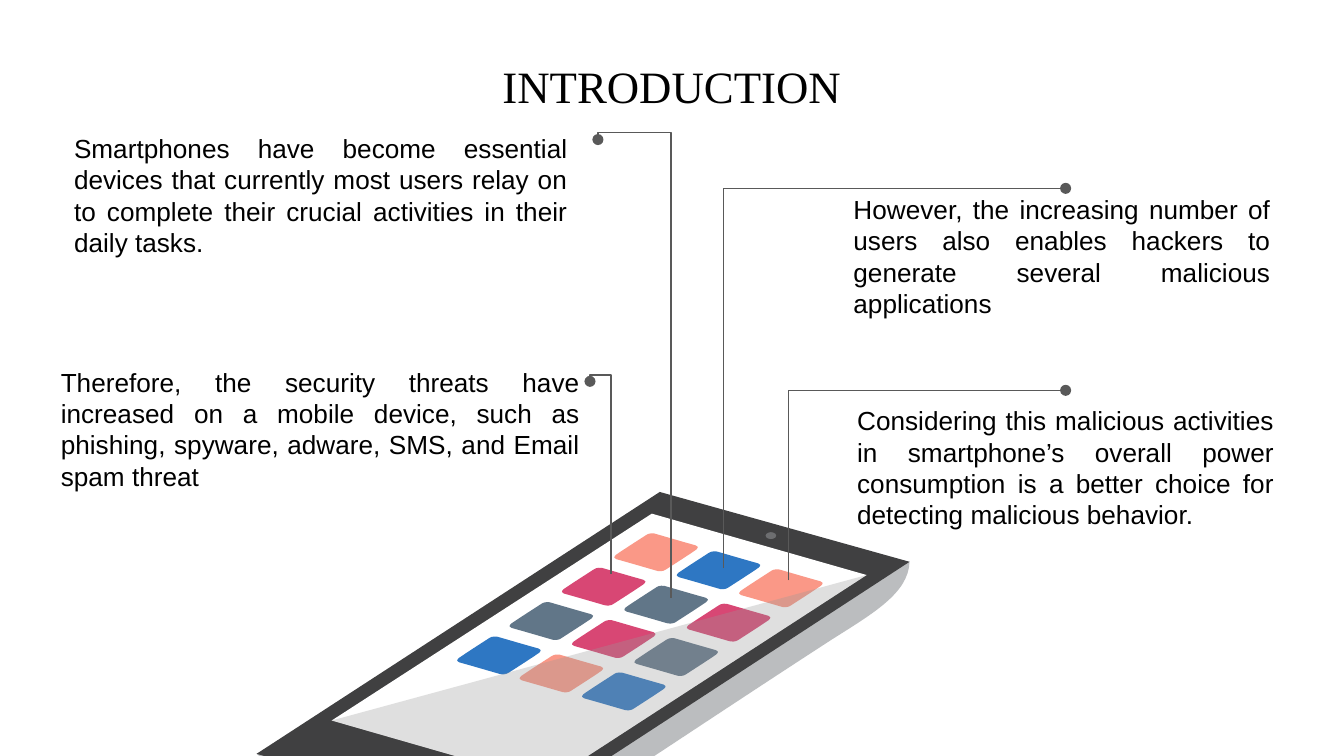
from lxml.etree import SubElement
from pptx import Presentation
from pptx.dml.color import RGBColor
from pptx.enum.shapes import MSO_CONNECTOR as Link, MSO_SHAPE as Preset
from pptx.enum.text import MSO_ANCHOR as Anchor, PP_ALIGN as Align
from pptx.oxml.ns import qn
from pptx.util import Cm, Pt

CORAL, BLUE, PINK, SLATE = "FA9887", "2E77C3", "D84774", "617688"
APP_ROWS = [
    (CORAL, BLUE, CORAL),
    (PINK, SLATE, PINK),
    (SLATE, PINK, SLATE),
    (BLUE, CORAL, BLUE),
]
FRAME = dict(word_wrap=True, vertical_anchor=Anchor.MIDDLE, margin_left=Cm(0.25),
             margin_right=Cm(0.25), margin_top=Cm(0.25), margin_bottom=Cm(0.25))
TITLE_FONT = dict(name="Times New Roman", size=Pt(24))
BODY_FONT = dict(name="Arial", size=Pt(14))

PHONE_BOX = (4.85, 9.3)
# text box, words, dot offset from the box, leader start on the phone,
# overshoot of the hook above the dot (None: a single corner without a hook)
CALLOUTS = [
    ((15.95, 8.1, 8.38, 1.47),
     "Considering this malicious activities in smartphone’s overall power "
     "consumption is a better choice for detecting malicious behavior.",
     (4.19, -0.72), (14.9, 10.97), 0),
    ((15.88, 3.67, 8.38, 2.34),
     "However, the increasing number of users also enables hackers to "
     "generate several malicious applications",
     (4.26, -0.11), (13.67, 10.74), None),
    ((0.9, 6.62, 10.31, 2.97),
     "Therefore, the security threats have increased on a mobile device, such "
     "as phishing, spyware, adware, SMS, and Email spam threat",
     (10.25, 0.59), (11.55, 10.85), 0.12),
    ((1.15, 2.47, 9.83, 2.44),
     "Smartphones have become essential devices that currently most users "
     "relay on to complete their crucial activities in their daily tasks.",
     (10.15, 0.17), (12.68, 11.3), 0.14),
]


def color(hex_value):
    return RGBColor.from_string(hex_value)


def apply(target, values):
    for name, value in values.items():
        setattr(target, name, value)


def paint(shape, hex_value):
    shape.shadow.inherit = False
    shape.fill.solid()
    shape.fill.fore_color.rgb = color(hex_value)
    shape.line.fill.background()


def add_outline(slide, origin, points, hex_value):
    """Closed shape whose points are centimetres from origin."""
    vertices = [(Cm(origin[0] + x), Cm(origin[1] + y)) for x, y in points]
    builder = slide.shapes.build_freeform(*vertices[0])
    builder.add_line_segments(vertices[1:])
    outline = builder.convert_to_shape()
    paint(outline, hex_value)
    return outline


def round_off(outline, straight=0):
    """Turn each three points after the straight ones into one cubic curve."""
    lines = list(outline._element.spPr.iter(qn("a:lnTo")))[straight:]
    for first in range(0, len(lines), 3):
        curve = lines[first].makeelement(qn("a:cubicBezTo"))
        lines[first].addprevious(curve)
        for line in lines[first:first + 3]:
            curve.append(line[0])
            line.getparent().remove(line)


def add_words(slide, box, words, align, font):
    frame = slide.shapes.add_textbox(*map(Cm, box)).text_frame
    apply(frame, FRAME)
    paragraph = frame.paragraphs[0]
    paragraph.alignment = align
    run = paragraph.add_run()
    run.text = words
    apply(run.font, font)
    run.font.color.rgb = color("000000")


def add_apps(slide, first_center):
    half = [(0.26, -0.27), (0.5, -0.2), (0.75, -0.13),
            (0.8, -0.12), (0.8, -0.09), (0.76, -0.05),
            (0.57, 0.08), (0.38, 0.2), (0.18, 0.33),
            (0.14, 0.36), (0.05, 0.37), (-0.02, 0.34)]
    other_half = [(-x, -y) for x, y in half]
    tile = [other_half[-1], *half, *other_half]
    for row, fills in enumerate(APP_ROWS):
        for column, fill in enumerate(fills):
            center = (first_center[0] + 1.18 * column - 0.99 * row,
                      first_center[1] + 0.34 * column + 0.65 * row)
            round_off(add_outline(slide, center, tile, fill))


def add_phone(slide, box):
    left, top = box
    side = [(7.82, 0.71), (0, 4.95),
            (1.07, 5.79), (2.62, 6.25), (3.78, 6.58),
            (3.96, 6.63), (4.11, 6.68), (4.29, 6.68),
            (4.62, 6.71), (4.98, 6.6), (5.44, 6.35),
            (7.52, 5), (8.79, 4.14), (10.87, 2.79),
            (11.66, 2.29), (12.32, 1.91), (12.34, 1.32)]
    face = [(7.62, 0), (0, 4.95), (4.7, 6.3), (12.34, 1.32)]
    screen = [(7.47, 0.41), (1.42, 4.32), (5.49, 5.49), (11.53, 1.57)]
    round_off(add_outline(slide, box, side, "BBBDBF"), straight=1)
    add_outline(slide, box, face, "404041")
    add_outline(slide, box, screen, "FFFFFF")
    camera = slide.shapes.add_shape(
        Preset.OVAL, Cm(left + 9.62), Cm(top + 0.76), Cm(0.2), Cm(0.13))
    paint(camera, "6D6E70")
    add_apps(slide, (left + 7.55, top + 1.14))
    glare = add_outline(slide, box, screen[1:], "999999")
    glare_color = glare._element.spPr.find(qn("a:solidFill"))[0]
    SubElement(glare_color, qn("a:alpha"), val="31000")


def add_leader(slide, start, dot, hook):
    """Elbow from the phone up to a dot; a hook passes over the dot and drops onto it."""
    (x1, y1), (x2, y2) = start, dot
    rise, run = y1 - y2, x1 - x2
    upright = hook != 0
    if upright:
        # The elbow is laid flat about its centre, then turned upright.
        middle_x, middle_y = (x1 + x2) / 2, (y1 + y2) / 2
        x1, y1 = middle_x - rise / 2, middle_y + run / 2
        x2, y2 = middle_x + rise / 2, middle_y - run / 2
    leader = slide.shapes.add_connector(Link.ELBOW, *map(Cm, (x1, y1, x2, y2)))
    leader.line.width = Pt(0.75)
    leader.line.color.rgb = color("595959")
    properties = leader._element.spPr
    if upright:
        properties.find(qn("a:xfrm")).set("rot", str(270 * 60000))
    geometry = properties.find(qn("a:prstGeom"))
    if hook is None:
        geometry.set("prst", "bentConnector2")
    else:
        bend = 1 + hook / rise if hook else 0
        SubElement(geometry.find(qn("a:avLst")), qn("a:gd"),
                   name="adj1", fmla=f"val {round(bend * 100000)}")
    SubElement(properties.find(qn("a:ln")), qn("a:tailEnd"), type="oval")
    SubElement(properties, qn("a:effectLst"))


def add_callout(slide, box, words, dot_offset, start, hook):
    add_words(slide, box, words, Align.JUSTIFY, BODY_FONT)
    dot = (box[0] + dot_offset[0], box[1] + dot_offset[1])
    add_leader(slide, start, dot, hook)


def main():
    deck = Presentation()
    apply(deck, dict(slide_width=Cm(25.4), slide_height=Cm(14.29)))
    slide = deck.slides.add_slide(deck.slide_layouts[6])
    add_words(slide, (5.9, 1.08, 13.59, 1.07), "INTRODUCTION", Align.CENTER, TITLE_FONT)
    add_phone(slide, PHONE_BOX)
    for callout in CALLOUTS:
        add_callout(slide, *callout)
    deck.save("out.pptx")


if __name__ == "__main__":
    main()
